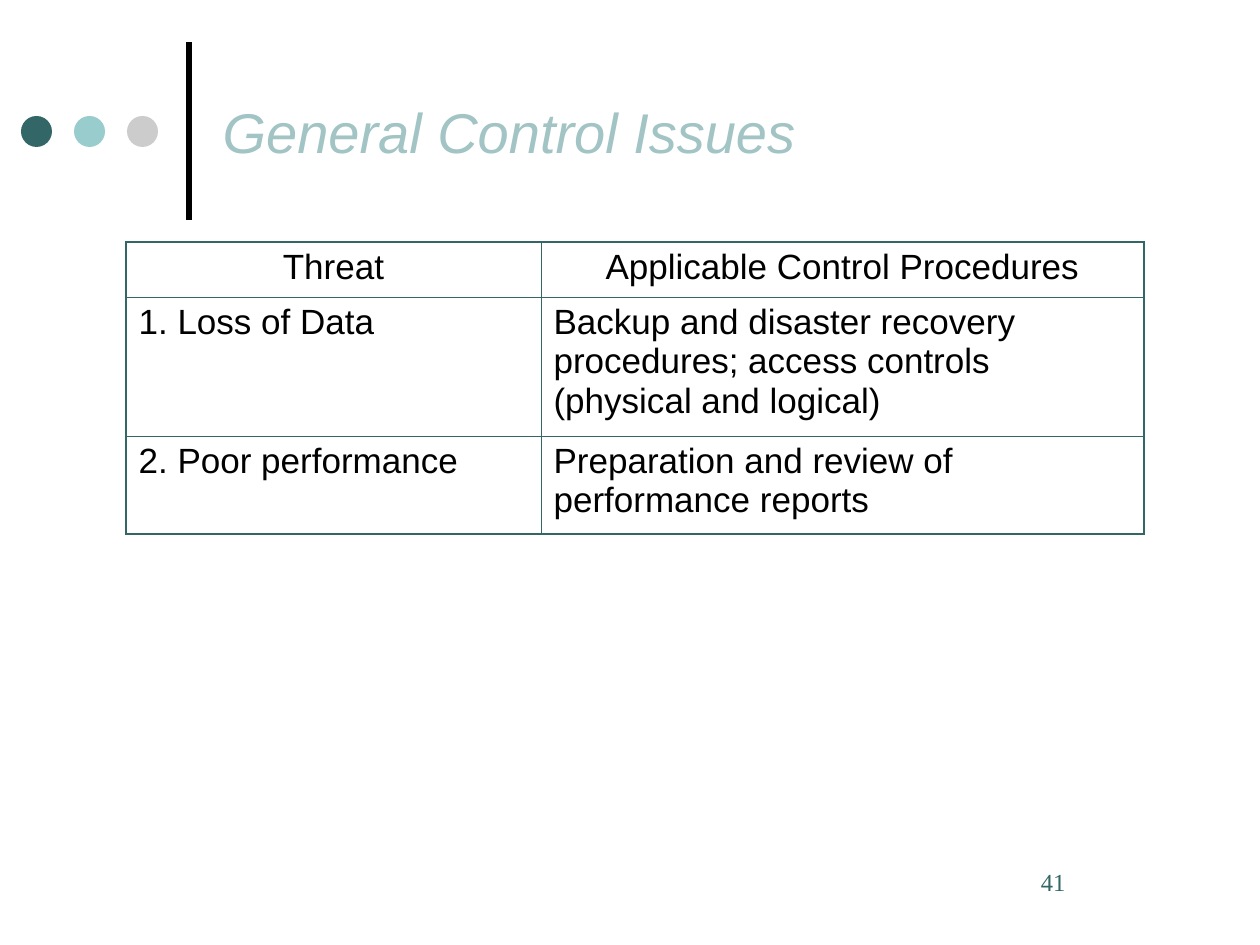
from lxml.etree import SubElement
from pptx import Presentation
from pptx.dml.color import RGBColor
from pptx.enum.shapes import MSO_CONNECTOR, MSO_SHAPE
from pptx.enum.text import MSO_ANCHOR, PP_ALIGN
from pptx.oxml.ns import qn
from pptx.util import Pt

PX = 914400 // 126
COLORS = {"teal": "336666", "aqua": "99CCCC", "gray": "CCCCCC",
          "title": "A2C4C4", "black": "000000"}

TITLE = "General Control Issues"
PAGE_NUMBER = "41"
ROWS = [
    ("Threat", "Applicable Control Procedures"),
    ("1. Loss of Data",
     "Backup and disaster recovery procedures; access controls (physical and logical)"),
    ("2. Poor performance", "Preparation and review of performance reports"),
]
COLUMN_WIDTHS = [415, 603]
ROW_HEIGHTS = [55, 139, 98]
TABLE_LEFT, TABLE_TOP = 126, 242
DOTS = ["teal", "aqua", "gray"]
DOT_LEFT, DOT_TOP, DOT_SIZE, DOT_STEP = 21, 116, 31, 53
OUTER_LINE, INNER_LINE = 1.08, 0.45


def box(*lengths):
    return [length * PX for length in lengths]


def color(name):
    return RGBColor.from_string(COLORS[name])


def style(paragraph, size, color_name, font="Arial", align=PP_ALIGN.LEFT):
    paragraph.alignment = align
    paragraph.font.size = Pt(size)
    paragraph.font.name = font
    paragraph.font.color.rgb = color(color_name)


def set_borders(cell, widths):
    """Draw the left, right, top and bottom borders, with widths in points."""
    properties = cell._tc.get_or_add_tcPr()
    for index, (side, width) in enumerate(zip("LRTB", widths)):
        line = SubElement(properties, qn(f"a:ln{side}"), w=str(Pt(width)))
        fill = SubElement(line, qn("a:solidFill"))
        SubElement(fill, qn("a:srgbClr"), val=COLORS["teal"])
        properties.insert(index, line)


def add_decoration(slide):
    rule = slide.shapes.add_connector(MSO_CONNECTOR.STRAIGHT, *box(189, 220, 189, 42))
    rule.line.color.rgb = color("black")
    rule.line.width = Pt(3)
    SubElement(rule._element.spPr, qn("a:effectLst"))
    for index, name in enumerate(DOTS):
        dot = slide.shapes.add_shape(
            MSO_SHAPE.OVAL,
            *box(DOT_LEFT + index * DOT_STEP, DOT_TOP, DOT_SIZE, DOT_SIZE))
        dot.shadow.inherit = False
        dot.fill.solid()
        dot.fill.fore_color.rgb = color(name)
        dot.line.fill.background()


def add_title(slide):
    title = slide.shapes.title
    title.left, title.top, title.width, title.height = box(210, 26, 967, 210)
    title.text_frame.text = TITLE
    title.text_frame.vertical_anchor = MSO_ANCHOR.MIDDLE
    paragraph = title.text_frame.paragraphs[0]
    style(paragraph, 32, "title")
    paragraph.font.italic = True


def add_threat_table(slide):
    frame = slide.shapes.add_table(
        len(ROWS), len(COLUMN_WIDTHS),
        *box(TABLE_LEFT, TABLE_TOP, sum(COLUMN_WIDTHS), sum(ROW_HEIGHTS)))
    table = frame.table
    table.first_row = table.horz_banding = False
    for column, width in zip(table.columns, COLUMN_WIDTHS):
        column.width = width * PX
    last_row, last_column = len(ROWS) - 1, len(COLUMN_WIDTHS) - 1
    for r, texts in enumerate(ROWS):
        table.rows[r].height = ROW_HEIGHTS[r] * PX
        for c, text in enumerate(texts):
            cell = table.cell(r, c)
            cell.text = text
            cell.fill.background()
            style(cell.text_frame.paragraphs[0], 20, "black",
                  align=PP_ALIGN.CENTER if r == 0 else PP_ALIGN.LEFT)
            on_edge = (c == 0, c == last_column, r == 0, r == last_row)
            set_borders(cell, [OUTER_LINE if edge else INNER_LINE for edge in on_edge])


def add_page_number(slide):
    text_box = slide.shapes.add_textbox(*box(998, 861, 179, 63))
    text_box.text_frame.word_wrap = True
    text_box.text_frame.margin_left = 43 * PX
    text_box.text_frame.text = PAGE_NUMBER
    style(text_box.text_frame.paragraphs[0], 14, "teal", "Times New Roman")


def main():
    presentation = Presentation()
    presentation.slide_width, presentation.slide_height = box(1260, 945)
    slide = presentation.slides.add_slide(presentation.slide_layouts[5])
    add_decoration(slide)
    add_title(slide)
    add_threat_table(slide)
    add_page_number(slide)
    presentation.save("out.pptx")


if __name__ == "__main__":
    main()
